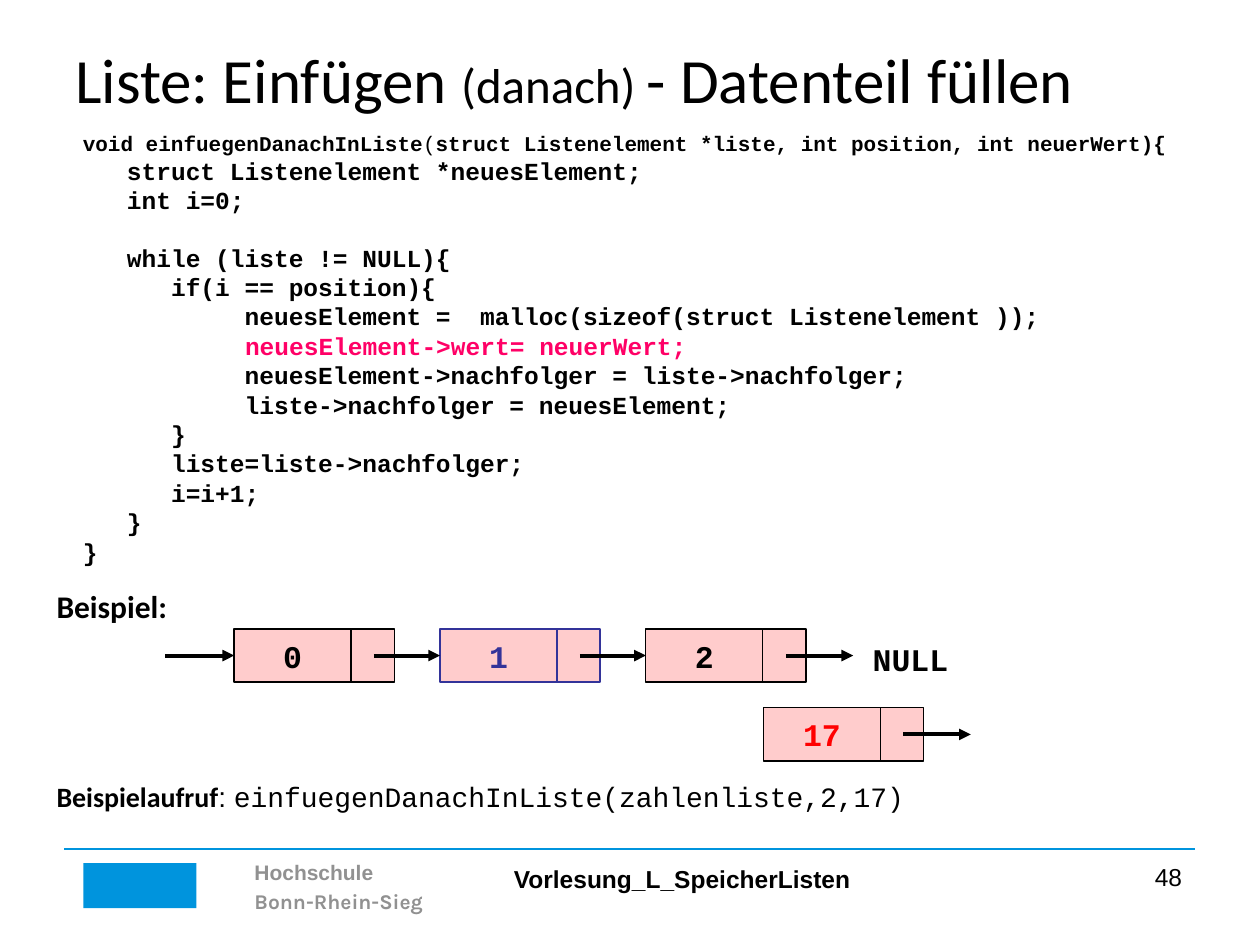
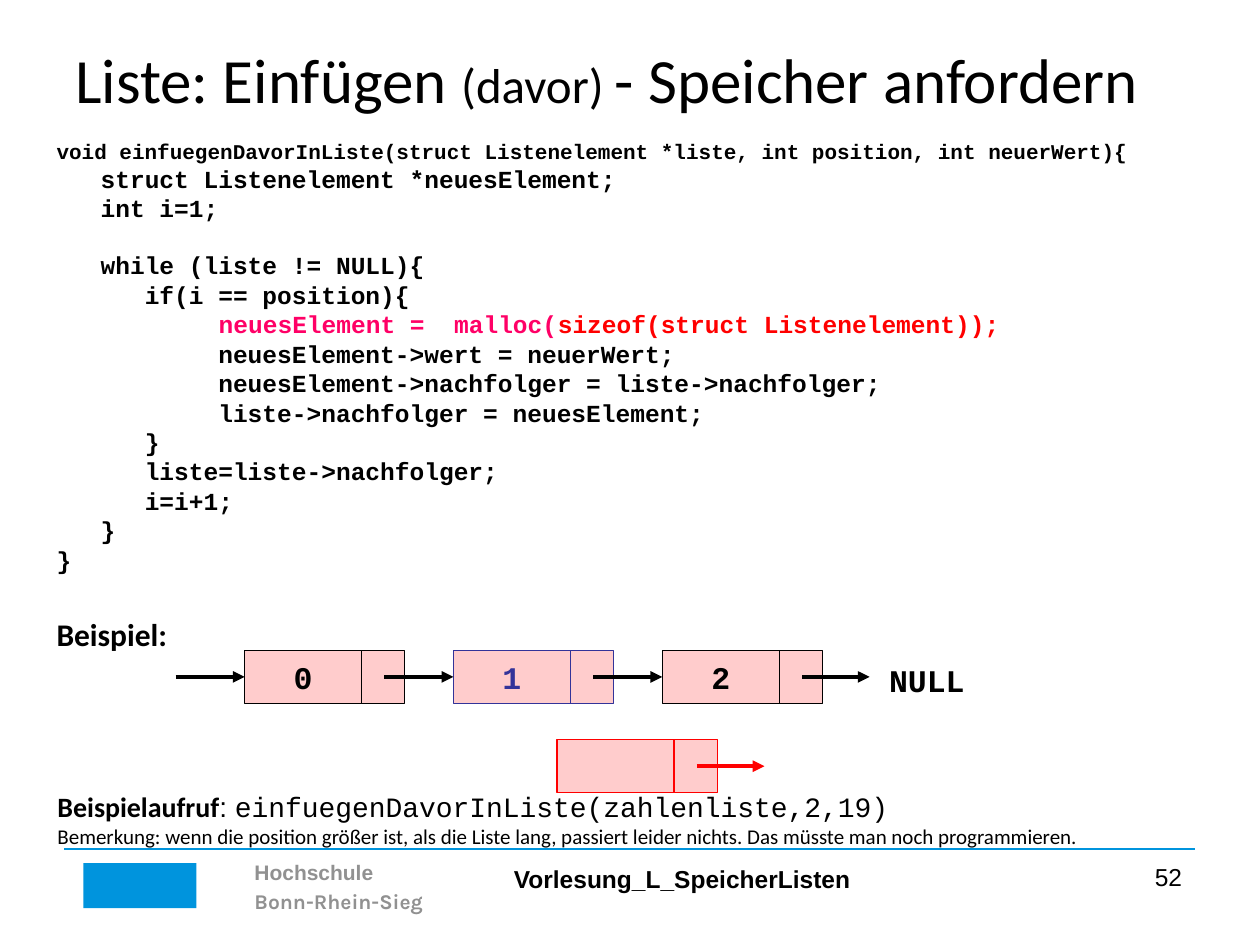
from lxml.etree import SubElement
from pptx import Presentation
from pptx.dml.color import RGBColor
from pptx.enum.shapes import MSO_CONNECTOR, MSO_SHAPE
from pptx.enum.text import MSO_ANCHOR, PP_ALIGN
from pptx.oxml import parse_xml
from pptx.oxml.ns import nsdecls, qn
from pptx.util import Cm, Pt

BLACK = RGBColor(0, 0, 0)
WHITE = RGBColor(255, 255, 255)
BLUE = RGBColor(0x00, 0x94, 0xDD)
GRAY = RGBColor(0x91, 0x91, 0x91)
ROSE = RGBColor(0xFF, 0xCC, 0xCC)
NAVY = RGBColor(0x33, 0x33, 0x99)
PINK = RGBColor(0xFF, 0x00, 0x66)
RED = RGBColor(0xFF, 0, 0)

SANS, BODY, MONO = "Arial", "Calibri", "Courier New"
FOOT = (1.3, 17.12, 22.78, 1.42)
DATA, NODE, HIGH = 2.36, 3.15, 1.07
INSET, WIRE, REACH = 0.08, 2.82, 1.36
DEEP = " " * 11
SHADE = (
    f'<a:effectLst {nsdecls("a")}><a:outerShdw dist="35921" dir="2700000">'
    '<a:srgbClr val="C0C0C0"/></a:outerShdw></a:effectLst>'
)


def span(text, size=14, face=MONO, tint=BLACK, bold=True):
    """Describe one run of text."""
    return text, size, face, tint, bold


def put(para, spans, shade=False):
    """Add the runs to a paragraph."""
    for text, size, face, tint, bold in spans:
        run = para.add_run()
        run.text = text
        run.font.size = Pt(size)
        run.font.bold = bold
        run.font.color.rgb = tint
        if shade:
            run.font._element.append(parse_xml(SHADE))
        run.font.name = face


def label(slide, box, rows, wrap=True, align=PP_ALIGN.LEFT, shade=False):
    """Add a text box holding one paragraph per row."""
    area = slide.shapes.add_textbox(*map(Cm, box))
    frame = area.text_frame
    frame.word_wrap = wrap
    for num, row in enumerate(rows):
        para = frame.add_paragraph() if num else frame.paragraphs[0]
        para.alignment = align
        put(para, row, shade)
    return area


def block(slide, box, fill, line=None):
    """Add a flat rectangle."""
    rect = slide.shapes.add_shape(MSO_SHAPE.RECTANGLE, *map(Cm, box))
    rect.shadow.inherit = False
    rect.fill.solid()
    rect.fill.fore_color.rgb = fill
    if line is None:
        rect.line.fill.background()
    else:
        rect.line.color.rgb = line
        rect.line.width = Pt(0.75)
    return rect


def rule(slide, left, top, width, tint, weight, arrow=False):
    """Add a level line, with an arrowhead if asked."""
    line = slide.shapes.add_connector(
        MSO_CONNECTOR.STRAIGHT, Cm(left), Cm(top), Cm(left + width), Cm(top))
    line.line.color.rgb = tint
    line.line.width = Pt(weight)
    if arrow:
        SubElement(line.line._get_or_add_ln(), qn("a:tailEnd"), type="triangle")
    SubElement(line._element.spPr, qn("a:effectLst"))
    return line


def footer(slide, box, page):
    """Draw the footer with school, lecture and page number."""
    left, top, width, _ = box
    block(slide, (left + 0.38, top + 0.28, 2.28, 0.91), BLUE)
    school = label(slide, (left + 3.58, top, 6.43, 1.42), [
        [span("Hochschule", 12, SANS, GRAY)],
        [span("Bonn-Rhein-Sieg", 12, "Karla", GRAY)],
    ])
    for para in school.text_frame.paragraphs:
        para.line_spacing = 1.15
    rule(slide, left, top, width, BLUE, 1)
    label(slide, (left + 8.81, top + 0.18, 7.29, 0.84),
          [[span("Vorlesung_L_SpeicherListen", 14, SANS)]], wrap=False)
    label(slide, (left + width - 5.56, top + 0.13, 5.56, 0.94),
          [[span(str(page), 14, SANS, bold=False)]], align=PP_ALIGN.RIGHT)


def title(slide, box, where, step):
    """Write the shaded slide title."""
    area = label(slide, box, [[
        span("Liste: Einfügen ", 36, BODY, bold=False),
        span(f"({where}) ", 28, BODY, bold=False),
        span(f"- {step}", 36, BODY, bold=False),
    ]], shade=True)
    area.text_frame.vertical_anchor = MSO_ANCHOR.MIDDLE


def code(slide, box, head, start, alloc, value):
    """Write the listing, with the gap before its loop as spacing."""
    rows = [
        head,
        [span("   struct Listenelement *neuesElement;")],
        [span(f"   int i={start};")],
        [span("   while (liste != NULL){")],
        [span("      if(i == position){")],
        [span(DEEP), *alloc],
        [span(DEEP), *value],
        [span(DEEP + "neuesElement->nachfolger = liste->nachfolger;")],
        [span(DEEP + "liste->nachfolger = neuesElement;")],
        [span("      }")],
        [span("      liste=liste->nachfolger;")],
        [span("      i=i+1;")],
        [span("   }")],
        [span("}")],
    ]
    area = label(slide, box, rows)
    area.fill.solid()
    area.fill.fore_color.rgb = WHITE
    area.text_frame.paragraphs[3].space_before = Pt(15.9)


def node(slide, left, top, text, ink=BLACK, edge=BLACK):
    """Draw a list element and return its data cell."""
    block(slide, (left + INSET, top, NODE, HIGH), ROSE, edge)
    cell = block(slide, (left, top, DATA, HIGH), ROSE, edge)
    if text:
        frame = cell.text_frame
        frame.word_wrap = False
        frame.vertical_anchor = MSO_ANCHOR.MIDDLE
        frame.paragraphs[0].alignment = PP_ALIGN.CENTER
        put(frame.paragraphs[0], [span(text, 18, tint=ink)])
    return cell


def wire(slide, left, top, goal=None, tint=BLACK):
    """Draw an arrow, joined to the goal cell if there is one."""
    line = rule(slide, left, top + HIGH / 2, REACH, tint, 2.25, arrow=True)
    if goal is not None:
        line.end_connect(goal, 1)


def chain(slide, box, pitch):
    """Draw the linked list from its entry arrow to NULL."""
    left, top, *_ = box
    tints = [BLACK, NAVY, BLACK]
    spots = [left + num * pitch for num in range(len(tints))]
    cells = [node(slide, spot, top, str(num), tint, tint)
             for num, (spot, tint) in enumerate(zip(spots, tints))]
    wire(slide, left - REACH - 0.03, top, cells[0])
    for spot, goal in zip(spots, cells[1:] + [None]):
        wire(slide, spot + WIRE, top, goal)
    label(slide, (spots[-1] + 4.32, top + 0.1, 2.03, 1.02),
          [[span("NULL", 18)]], wrap=False, align=PP_ALIGN.CENTER)


def fresh(slide, box, text, edge):
    """Draw the new element with its open arrow."""
    left, top, *_ = box
    node(slide, left, top, text, RED, edge)
    wire(slide, left + WIRE, top, tint=edge)


def sample(slide, box):
    """Write the heading of the example."""
    label(slide, box, [[span("Beispiel:", 18, BODY)]], wrap=False)


def call(slide, box, text):
    """Write the sample call."""
    label(slide, box, [[
        span("Beispielaufruf", 16, BODY),
        span(": ", 16, SANS, bold=False),
        span(text, 16, bold=False),
    ]], wrap=False)


def after(slide):
    """Build the slide on filling the data part."""
    footer(slide, FOOT, 48)
    title(slide, (1.27, 0.71, 22.86, 1.75), "danach", "Datenteil füllen")
    code(slide, (1.42, 2.51, 23.24, 9.14), [
        span("void einfuegenDanachInListe", 12),
        span("(", 12, bold=False),
        span("struct Listenelement *liste, int position, int neuerWert){", 12),
    ], 0,
        [span("neuesElement =  malloc(sizeof(struct Listenelement ));")],
        [span("neuesElement->wert= neuerWert;", tint=PINK)])
    chain(slide, (4.72, 12.68, 11.54, HIGH), 4.15)
    fresh(slide, (15.39, 14.27, NODE, HIGH), "17", BLACK)
    call(slide, (0.89, 15.6, 17.86, 0.94),
         "einfuegenDanachInListe(zahlenliste,2,17)")
    sample(slide, (0.89, 11.71, 2.77, 1.02))


def before(slide):
    """Build the slide on requesting memory."""
    footer(slide, FOOT, 52)
    title(slide, (1.27, 0.71, 23.47, 1.75), "davor", "Speicher anfordern")
    code(slide, (0.89, 2.67, 24.4, 9.14), [
        span("void einfuegenDavorInListe(struct Listenelement *liste, "
             "int position, int neuerWert){", 12),
    ], 1,
        [span("neuesElement =  malloc(", tint=PINK),
         span("sizeof(struct Listenelement));", tint=RED)],
        [span("neuesElement->wert = neuerWert;")])
    chain(slide, (4.93, 13.11, 11.66, HIGH), 4.21)
    fresh(slide, (11.23, 14.91, NODE, HIGH), "", RED)
    call(slide, (0.91, 15.8, 20.8, 0.94),
         "einfuegenDavorInListe(zahlenliste,2,19)")
    label(slide, (0.91, 16.48, 21.31, 0.76), [[span(
        "Bemerkung: wenn die position größer ist, als die Liste lang, "
        "passiert leider nichts. Das müsste man noch programmieren.",
        12, BODY, bold=False)]], wrap=False)
    sample(slide, (0.89, 12.27, 2.77, 1.02))


def main():
    """Build and save the slides."""
    deck = Presentation()
    deck.slide_width, deck.slide_height = Cm(25.4), Cm(19.05)
    for build in (after, before):
        build(deck.slides.add_slide(deck.slide_layouts[6]))
    deck.save("out.pptx")


if __name__ == "__main__":
    main()
